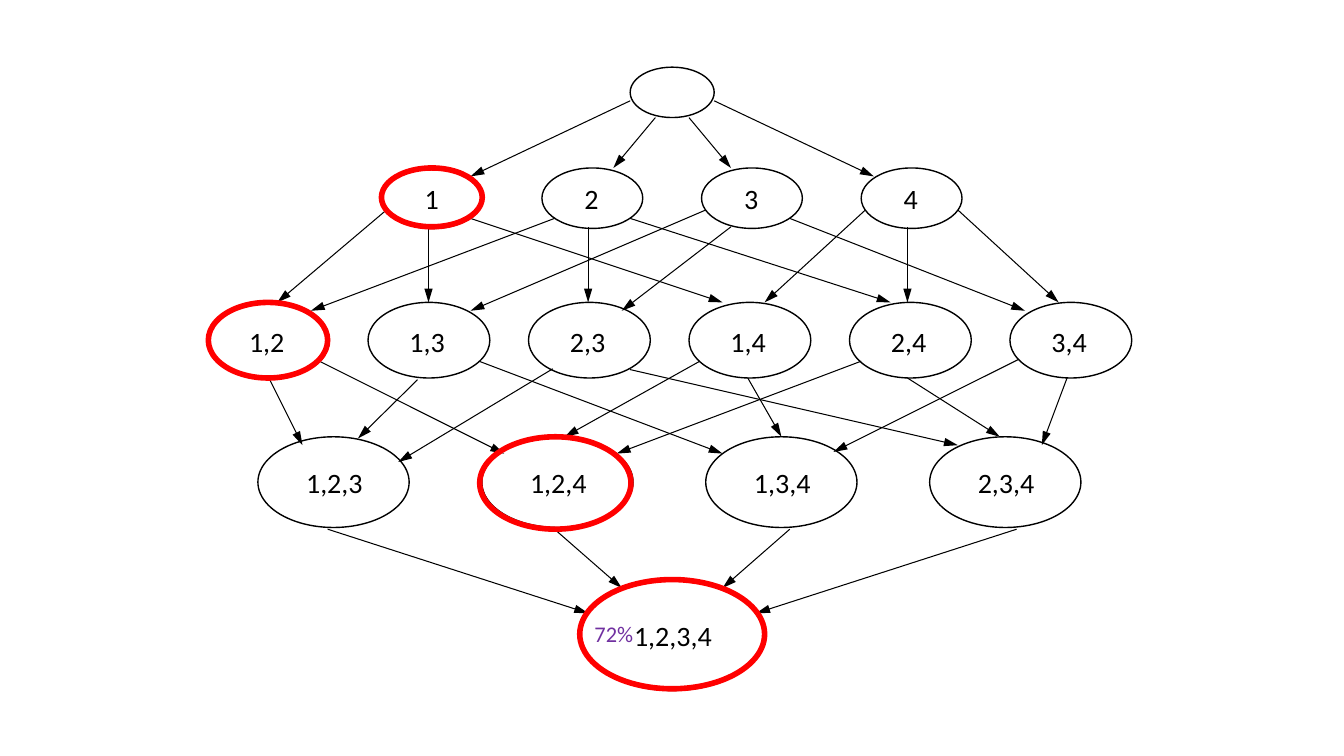
import pptx
import pptx.util
import pptx.dml.color
import pptx.enum.shapes
import pptx.enum.text
import pptx.oxml.ns
import lxml.etree

deck = pptx.Presentation()
deck.slide_width = pptx.util.Inches(13.33)
deck.slide_height = pptx.util.Inches(7.5)
slide = deck.slides.add_slide(deck.slide_layouts[6])
shapes = slide.shapes

# The slide is a grid of 160 columns by 90 rows
COLS, ROWS = 160, 90
cell = deck.slide_height / ROWS


def grid(*nums):
    """Turn grid counts into lengths."""
    return [pptx.util.Emu(round(n * cell)) for n in nums]


def tint(hue):
    return pptx.dml.color.RGBColor.from_string(hue)


# Arrows, one list for each step down: from column, row, to column, row
arrows = [
    (75, 12, 56, 21), (85, 12, 104, 21), (78, 14, 73, 20), (82, 14, 87, 20),

    (46, 25, 33, 36), (51, 27, 51, 36), (56, 26, 86, 36),
    (66, 26, 37, 37), (70, 27, 70, 36), (75, 26, 106, 36),
    (84, 25, 56, 37), (87, 27, 74, 37), (94, 26, 122, 37),
    (103, 25, 91, 36), (108, 27, 108, 36), (114, 25, 126, 36),

    (32, 45, 36, 53), (38, 43, 60, 54),
    (49.7, 45.2, 42.6, 52.2), (57, 43, 86, 54),
    (65.8, 43.9, 47.4, 55), (75, 44, 114, 53),
    (83.3, 43, 67.2, 52), (89, 45, 93, 52),
    (102.5, 43, 73.4, 54), (108, 45, 119, 52),
    (121.2, 42.8, 99.2, 53.8), (127, 45, 124, 53),

    (39, 63, 70, 73), (66, 63, 74, 70), (94, 63, 86, 70), (121, 63, 90, 73),
]
for ends in arrows:
    line = shapes.add_connector(
        pptx.enum.shapes.MSO_CONNECTOR.STRAIGHT, *grid(*ends))
    line.line.color.rgb = tint("000000")
    line.line.width = pptx.util.Pt(0.75)
    head = lxml.etree.SubElement(
        line.line._get_or_add_ln(), pptx.oxml.ns.qn("a:tailEnd"))
    for key, val in {"type": "triangle", "w": "med", "len": "lg"}.items():
        head.set(key, val)
    lxml.etree.SubElement(
        line._element.spPr, pptx.oxml.ns.qn("a:effectLst"))

# Rows of sets: left, top, width, height, step, and the labels' place
tiers = [
    dict(at=(75, 8, 10, 6), step=0, text=None, sets=[""]),
    dict(at=(45.5, 20, 12, 7.2), step=19, text=(49.35, 21, 4.1),
         sets=["1", "2", "3", "4"]),
    dict(at=(24.7, 36, 14.5, 9), step=19.1, text=(28.4, 38, 6.7),
         sets=["1,2", "1,3", "2,3", "1,4", "2,4", "3,4"]),
    dict(at=(30.7, 52, 18, 10.8), step=26.65, text=(35.2, 54.8, 9.2),
         sets=["1,2,3", "1,2,4", "1,3,4", "2,3,4"]),
    dict(at=(69, 69, 22, 13.2), step=0, text=(74.2, 73, 11.8),
         sets=["1,2,3,4"]),
]
ovals, labels = [], []
for tier in tiers:
    left, top, wide, high = tier["at"]
    for i, name in enumerate(tier["sets"]):
        shift = i * tier["step"]
        ovals.append(((left + shift, top, wide, high), "000000", 1))
        if name:
            x, y, w = tier["text"]
            labels.append(((x + shift, y, w, 5.3), name, 20, "000000"))

# The chosen path, ringed in red
for ring in [(45.4, 20, 12, 7), (24.8, 36, 14.2, 9),
             (57.1, 52, 18, 11), (69, 69, 22, 13)]:
    ovals.append((ring, "FF0000", 4))
labels.append(((69.5, 73.2, 7.1, 4.4), "72%", 16, "7030A0"))

for place, hue, size in ovals:
    oval = shapes.add_shape(
        pptx.enum.shapes.MSO_SHAPE.OVAL, *grid(*place))
    oval.shadow.inherit = False
    oval.fill.background()
    oval.line.color.rgb = tint(hue)
    oval.line.width = pptx.util.Pt(size)

for place, name, size, hue in labels:
    frame = shapes.add_textbox(*grid(*place)).text_frame
    frame.word_wrap = False
    frame.auto_size = pptx.enum.text.MSO_AUTO_SIZE.SHAPE_TO_FIT_TEXT
    para = frame.paragraphs[0]
    para.alignment = pptx.enum.text.PP_ALIGN.CENTER
    run = para.add_run()
    run.text = name
    for key, val in {"name": "Calibri", "size": pptx.util.Pt(size)}.items():
        setattr(run.font, key, val)
    run.font.color.rgb = tint(hue)

deck.save("out.pptx")
